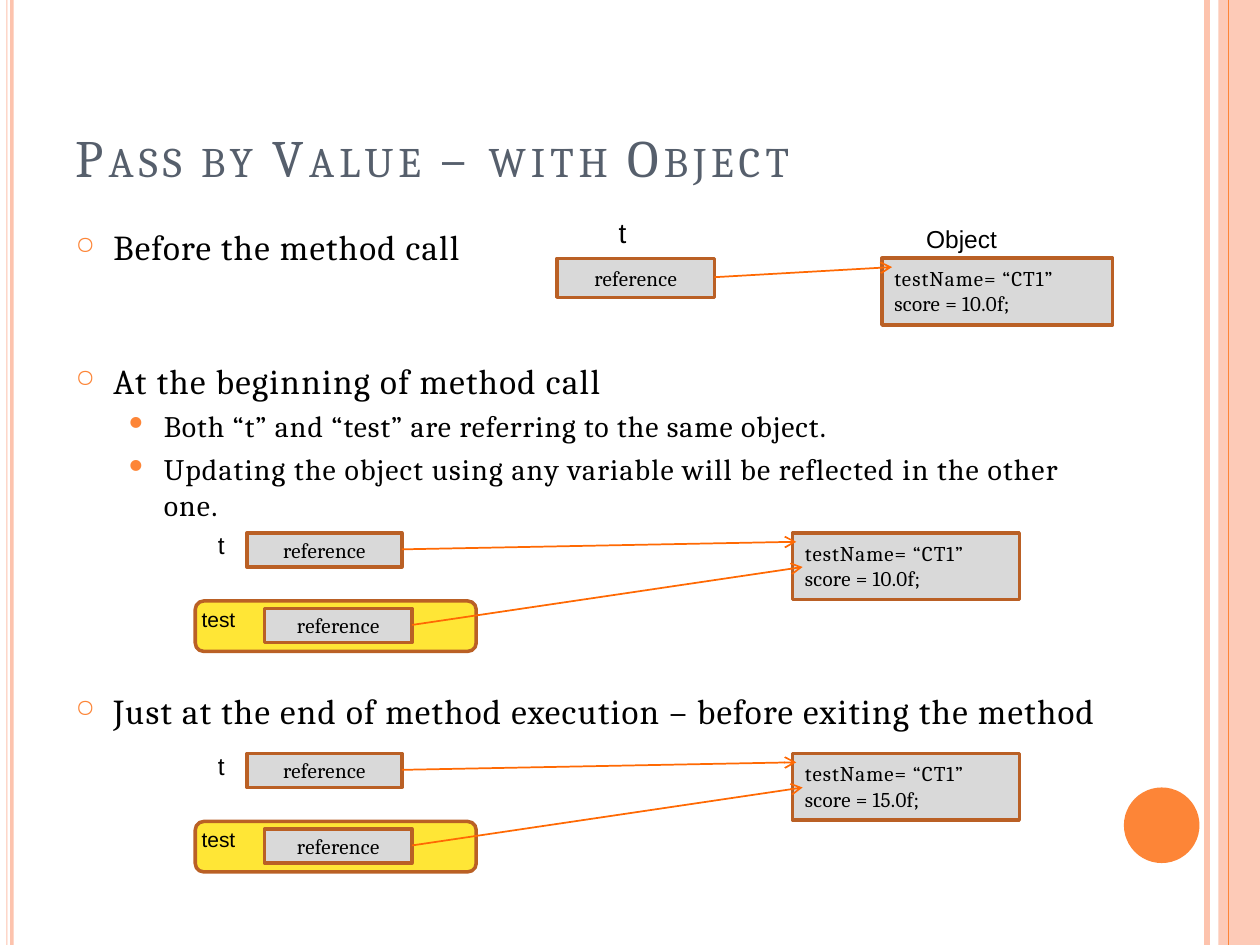
import pptx
import pptx.util
import pptx.dml.color
import pptx.oxml
import pptx.oxml.ns
import pptx.enum.shapes
import pptx.enum.text
from dataclasses import dataclass


@dataclass(frozen=True)
class Theme:
    serif: str = "Cambria"
    sans: str = "Arial"
    black: str = "000000"
    heading: str = "565F6C"
    accent: str = "FD8537"
    stripe: str = "FDC3AD"
    arrow: str = "FF6903"
    box: str = "D9D9D9"
    border: str = "BA6025"
    parameter: str = "FFE636"
    capital: float = 30
    small_capital: float = 24
    point: float = 20
    detail: float = 17
    code: float = 12


THEME = Theme()
TITLE = [("P", True), ("ASS BY ", False), ("V", True), ("ALUE ", False),
         ("– ", True), ("WITH ", False), ("O", True), ("BJECT", False)]
POINTS = [
    (1.79, [(0, "Before the method call", 0.67)]),
    (2.85, [(0, "At the beginning of method call", 0.74),
            (1, "Both “t” and “test” are referring to the same object.", 0.54),
            (1, "Updating the object using any variable will be reflected in the other one.", 0.64)]),
    (5.47, [(0, "Just at the end of method execution – before exiting the method", 0.72)]),
]
LEVELS = [("○", 70, 0.31, THEME.point), ("⚫", 79, 0.71, THEME.detail)]
CALLS = [(4.23, "10.0f"), (5.98, "15.0f")]
STRIPES = [(0.05, 0.01), (0.08, 0.03), (9.67, 0.33)]
RULES = [(9.58, THEME.stripe, 3), (9.75, THEME.accent, 0.75)]

deck = pptx.Presentation()
deck.slide_width, deck.slide_height = pptx.util.Inches(10), pptx.util.Inches(7.5)
COL, ROW = deck.slide_width / 10, deck.slide_height / 7.5
slide = deck.slides.add_slide(deck.slide_layouts[5])
SHAPE = pptx.enum.shapes.MSO_SHAPE
ALIGN = pptx.enum.text.PP_ALIGN
ANCHOR = pptx.enum.text.MSO_ANCHOR


def color(value):
    return pptx.dml.color.RGBColor.from_string(value)


def place(left, top, width, height):
    return [round(v) for v in (left * COL, top * ROW, width * COL, height * ROW)]


def add_xml(parent, tag, **attributes):
    child = pptx.oxml.parse_xml(f"<a:{tag} {pptx.oxml.ns.nsdecls('a')}/>")
    for key, value in attributes.items():
        child.set(key, str(value))
    parent.append(child)
    return child


def style(font, face, size, value):
    font.name, font.size = face, pptx.util.Pt(size)
    font.color.rgb = color(value)


def add_run(paragraph, text, spacing):
    run = paragraph.add_run()
    run.text = text
    run._r.get_or_add_rPr().set("spc", str(round(spacing * 100)))
    return run


def prepare(frame, left=0, top=0, anchor=ANCHOR.TOP):
    frame.margin_left, frame.margin_top = round(left * COL), round(top * ROW)
    frame.margin_right = frame.margin_bottom = 0
    frame.word_wrap, frame.vertical_anchor = True, anchor
    frame.auto_size = pptx.enum.text.MSO_AUTO_SIZE.NONE
    return frame


def add_box(kind, area, fill, border=None):
    box = slide.shapes.add_shape(kind, *place(*area))
    box.shadow.inherit = False
    box.fill.solid()
    box.fill.fore_color.rgb = color(fill)
    if border:
        box.line.color.rgb = color(border)
        box.line.width = pptx.util.Pt(2)
    else:
        box.line.fill.background()
    return box


def add_line(x1, y1, x2, y2, value, width, arrow=False):
    line = slide.shapes.add_connector(
        pptx.enum.shapes.MSO_CONNECTOR.STRAIGHT, *place(x1, y1, x2, y2))
    line.line.color.rgb = color(value)
    line.line.width = pptx.util.Pt(width)
    if arrow:
        add_xml(line.line._get_or_add_ln(), "tailEnd", type="arrow", w="med", len="med")
    add_xml(line._element.spPr, "effectLst")


def add_label(text, left, top, size):
    label = slide.shapes.add_textbox(*place(left, top, 0.7, 0.29))
    paragraph = prepare(label.text_frame, 0.01, 0.01).paragraphs[0]
    add_run(paragraph, text, 0)
    style(paragraph.font, THEME.sans, size, THEME.black)


def add_reference(*area):
    box = add_box(SHAPE.RECTANGLE, area, THEME.box, THEME.border)
    paragraph = prepare(box.text_frame, anchor=ANCHOR.MIDDLE).paragraphs[0]
    paragraph.alignment = ALIGN.CENTER
    add_run(paragraph, "reference", 0.2)
    style(paragraph.font, THEME.serif, THEME.code, THEME.black)


def add_object(left, top, width, score):
    box = add_box(SHAPE.RECTANGLE, (left, top, width, 0.53), THEME.box, THEME.border)
    frame = prepare(box.text_frame, 0.1, 0.06)
    for i, (text, spacing) in enumerate([("testName= “CT1”", 0.6), (f"score = {score};", 0.2)]):
        paragraph = frame.add_paragraph() if i else frame.paragraphs[0]
        paragraph.alignment = ALIGN.LEFT
        add_run(paragraph, text, spacing)
        style(paragraph.font, THEME.serif, THEME.code, THEME.black)


def add_points(top, items):
    box = slide.shapes.add_textbox(*place(0.59, top, 8.3 if len(items) == 1 else 8.12, 0.36))
    if len(items) == 1:
        box.width = round(8.5 * COL)
    frame = prepare(box.text_frame)
    for i, (level, text, spacing) in enumerate(items):
        bullet, share, indent, size = LEVELS[level]
        paragraph = frame.add_paragraph() if i else frame.paragraphs[0]
        paragraph.level = level
        if i:
            paragraph.space_before = pptx.util.Pt(4.1)
        properties = paragraph._p.get_or_add_pPr()
        properties.set("marL", str(round(indent * COL)))
        properties.set("indent", str(round(-0.3 * COL)))
        add_xml(add_xml(properties, "buClr"), "srgbClr", val=THEME.accent)
        add_xml(properties, "buSzPct", val=share * 1000)
        add_xml(properties, "buChar", char=bullet)
        add_run(paragraph, text, spacing)
        style(paragraph.font, THEME.serif, size, THEME.black)


for left, width in STRIPES:
    stripe = add_box(SHAPE.RECTANGLE, (left, 0, width, 7.5), THEME.stripe)
add_xml(stripe._element.spPr.find(".//" + pptx.oxml.ns.qn("a:srgbClr")), "alpha", val=87000)
for x, value, width in RULES:
    add_line(x, 0, x, 7.5, value, width)
add_box(SHAPE.OVAL, (8.92, 6.25, 0.6, 0.6), THEME.accent)

title = slide.shapes.title
title.left, title.top, title.width, title.height = place(0.59, 0.98, 6.5, 0.53)
heading = prepare(title.text_frame, 0.01, 0.01).paragraphs[0]
heading.alignment = ALIGN.LEFT
for text, is_capital in TITLE:
    run = add_run(heading, text, 2.9)
    style(run.font, THEME.serif, THEME.capital if is_capital else THEME.small_capital, THEME.heading)

for top, items in POINTS:
    add_points(top, items)

add_label("t", 4.9, 1.7, 16)
add_label("Object", 7.34, 1.77, 14)
add_reference(4.42, 2.05, 1.25, 0.31)
add_object(7, 2.05, 1.83, "10.0f")
add_line(5.67, 2.2, 7.08, 2.12, THEME.arrow, 1, True)

for top, score in CALLS:
    add_label("t", 1.72, top - 0.03, 14)
    add_reference(1.96, top, 1.23, 0.27)
    add_box(SHAPE.ROUNDED_RECTANGLE, (1.55, top + 0.54, 2.23, 0.4), THEME.parameter, THEME.border)
    add_label("test", 1.59, top + 0.57, 12)
    add_reference(2.1, top + 0.6, 1.17, 0.27)
    add_object(6.29, top, 1.8, score)
    add_line(3.19, top + 0.13, 6.32, top + 0.07, THEME.arrow, 1, True)
    add_line(3.27, top + 0.73, 6.37, top + 0.27, THEME.arrow, 1, True)

deck.save("out.pptx")
